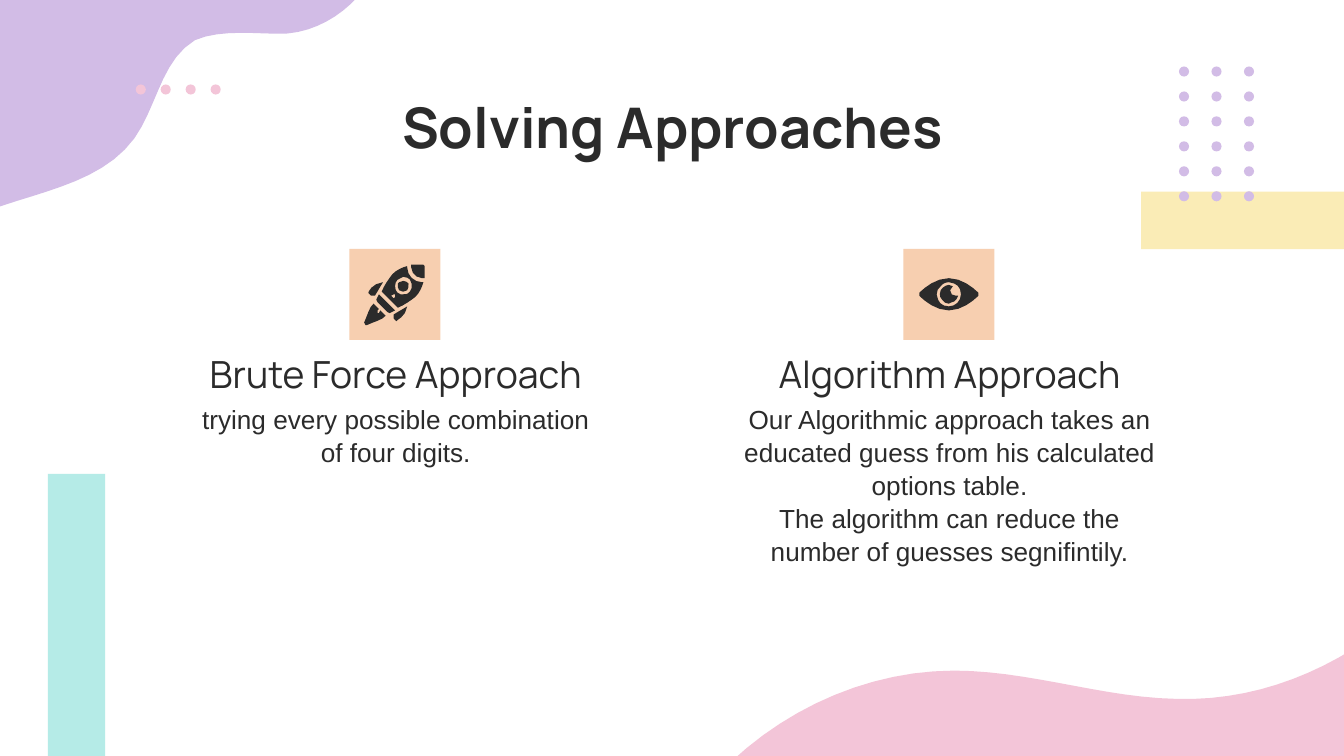
from dataclasses import dataclass
from math import dist, sqrt

from lxml.etree import SubElement
from pptx import Presentation
from pptx.dml.color import RGBColor
from pptx.enum.shapes import MSO_SHAPE as Preset
from pptx.enum.text import MSO_ANCHOR as Anchor, MSO_AUTO_SIZE as AutoSize, PP_ALIGN as Align
from pptx.oxml.ns import qn
from pptx.util import Pt

COLORS = {
    "ink": "2B2B2B",
    "pink": "F3C5D8",
    "mint": "B5EBE7",
    "lilac": "D2BCE6",
    "peach": "F7CFB0",
    "cream": "FAECB6",
}
GRID = 0.72  # points per unit of the outlines below

LILAC_BLOB = (
    "M -105 208, L -105 -75, L 266 -75, L 266 -2, C 253 12 235 23 214 25, "
    "C 195 26 165 21 145 30, C 120 45 117 79 100 103, C 78 133 38 141 2 153, "
    "C -36 165 -73 184 -105 208"
)
PINK_WAVE = (
    "M 1026 470, L 1026 705, L 523 705, L 523 589, C 569 534 639 499 710 499, "
    "C 766 499 820 519 875 520, C 932 522 984 501 1026 470"
)
ROCKET = [
    # side fins
    "M 282 219, L 280 223, L 281 225, L 288 232, L 290 233, L 294 231",
    "M 303 228, C 300 230 296 232 293 234, L 293 237, L 295 239, C 295 238 302 236 303 228",
    "M 285 210, C 277 211 274 217 274 218, L 276 220, L 279 220, C 281 217 283 213 285 210",
    # nose
    "M 313 197, L 306 197, L 306 199, C 306 203 310 207 314 207, L 316 207, L 316 198, L 315 197",
    # window
    "M 300 209, L 297 210, L 296 211, C 296 213 296 215 297 216, L 300 217, L 303 216, "
    "C 304 215 304 213 304 211, C 303 210 302 209 300 209",
    # body with window frame and rivet cut out
    "M 300 206, C 302 206 304 207 305 208, C 307 211 307 215 305 217, "
    "C 304 219 302 219 300 219, L 298 219, C 295 218 294 216 294 213, "
    "C 294 210 295 208 298 207, L 300 206, "
    "M 293 219, L 294 219, L 294 221, L 293 222, L 291 220, L 293 219, "
    "M 303 198, C 299 199 295 201 292 204, C 289 208 286 212 284 217, L 296 229, "
    "C 301 227 305 224 309 221, C 312 218 314 214 315 210, L 314 210, "
    "C 308 210 303 205 303 199",
    # flame
    "M 278 226, C 275 228 273 236 271 240, L 272 242, L 273 242, C 277 240 285 238 287 235, "
    "L 286 234, L 283 231, L 282 233, L 281 233, L 281 231, L 282 230, L 279 227",
]
EYE = [
    # lids with iris cut out
    "M 706 210, L 710 211, C 713 212 715 215 715 219, "
    "C 715 224 711 228 706 228, C 702 228 699 226 698 223, C 696 219 697 215 700 213, "
    "C 701 211 704 210 706 210, "
    "M 706 207, C 694 207 684 218 684 218, L 684 220, C 684 220 694 231 706 231, "
    "C 718 231 728 220 728 220, L 728 218, C 728 218 718 207 706 207",
    # pupil
    "M 706 212, C 704 212 701 214 700 216, C 699 219 699 221 701 223, "
    "C 702 225 704 226 706 226, L 708 225, C 710 225 712 223 713 220, "
    "L 711 220, C 709 220 707 219 707 216, L 709 213",
]


@dataclass
class Box:
    left: float
    top: float
    width: float
    height: float


@dataclass
class TextStyle:
    font: str
    size: float
    bold: bool = False
    anchor: Anchor = Anchor.TOP
    spacing: float = 1.0


@dataclass
class DotGrid:
    """Rows and columns of dots, placed by the centre of the first one."""
    x: float
    y: float
    columns: int
    rows: int
    step_x: float
    step_y: float
    color: str


@dataclass
class Approach:
    left: float
    icon_left: float
    icon: list[str]
    heading: str
    lines: list[str]
    heading_index: int
    body_index: int


TITLE = TextStyle("Manrope", 30, bold=True)
HEADING = TextStyle("Manrope", 20, anchor=Anchor.BOTTOM)
BODY = TextStyle("Arial", 14, spacing=1.05)

APPROACHES = [
    Approach(93.6, 187.2, ROCKET, "Brute Force Approach",
             ["trying every possible combination of four digits."], 1, 2),
    Approach(390.3, 484, EYE, "Algorithm Approach",
             ["Our Algorithmic approach takes an educated guess from his calculated options table.",
              "The algorithm can reduce the number of guesses segnifintily."], 3, 4),
]
DOT_GRIDS = [
    DotGrid(634.3, 38.3, 3, 6, 17.4, 13.37, "lilac"),
    DotGrid(75.4, 47.95, 4, 1, 13.37, 0, "pink"),
]


def paint(shape, color: str) -> None:
    shape.fill.solid()
    shape.fill.fore_color.rgb = RGBColor.from_string(COLORS[color])
    shape.line.fill.background()
    shape.shadow.inherit = False


def draw_preset(shapes, preset: Preset, box: Box, color: str) -> None:
    shape = shapes.add_shape(preset, Pt(box.left), Pt(box.top), Pt(box.width), Pt(box.height))
    paint(shape, color)


def trace(outline: str) -> list[list[tuple[float, float]]]:
    """Turn M, L and C (cubic curve) steps into one list of points per contour."""
    contours = []
    for step in outline.split(", "):
        command, *texts = step.split()
        numbers = [float(text) for text in texts]
        pairs = list(zip(numbers[::2], numbers[1::2]))
        if command == "M":
            contours.append(pairs)
        elif command == "L":
            contours[-1].extend(pairs)
        else:
            corners = [contours[-1][-1], *pairs]
            count = max(1, round(sqrt(dist(corners[0], corners[-1]))))
            for index in range(1, count + 1):
                t = index / count
                weights = ((1 - t) ** 3, 3 * t * (1 - t) ** 2, 3 * t * t * (1 - t), t ** 3)
                contours[-1].append(tuple(
                    sum(weight * corner[axis] for weight, corner in zip(weights, corners))
                    for axis in (0, 1)))
    return [[(Pt(x * GRID), Pt(y * GRID)) for x, y in contour] for contour in contours]


def draw_outline(shapes, outline: str, color: str) -> None:
    first, *others = trace(outline)
    builder = shapes.build_freeform(*first[0])
    builder.add_line_segments(first[1:])
    for contour in others:
        builder.move_to(*contour[0])
        builder.add_line_segments(contour[1:])
    paint(builder.convert_to_shape(), color)


def draw_dots(page, dots: DotGrid) -> None:
    group = page.shapes.add_group_shape()
    size = 5.4
    for column in range(dots.columns):
        for row in range(dots.rows):
            box = Box(dots.x + column * dots.step_x - size / 2,
                      dots.y + row * dots.step_y - size / 2, size, size)
            draw_preset(group.shapes, Preset.OVAL, box, dots.color)


def fill_placeholder(holder, box: Box, lines: list[str], style: TextStyle) -> None:
    holder.left, holder.top = Pt(box.left), Pt(box.top)
    holder.width, holder.height = Pt(box.width), Pt(box.height)
    frame = holder.text_frame
    frame.text = "\n".join(lines)
    frame.word_wrap = True
    frame.auto_size = AutoSize.NONE
    frame.vertical_anchor = style.anchor
    frame.margin_left = frame.margin_right = frame.margin_top = frame.margin_bottom = Pt(7.2)
    for para in frame.paragraphs:
        para.alignment = Align.CENTER
        para.line_spacing = style.spacing
        para.space_before = para.space_after = Pt(0)
        properties = para._p.get_or_add_pPr()
        properties.set("marL", "0")
        properties.set("indent", "0")
        SubElement(properties, qn("a:buNone"))
        for span in para.runs:
            span.font.name = style.font
            span.font.size = Pt(style.size)
            span.font.bold = style.bold
            span.font.color.rgb = RGBColor.from_string(COLORS["ink"])


def draw_approach(page, approach: Approach) -> None:
    draw_preset(page.shapes, Preset.RECTANGLE, Box(approach.icon_left, 133.3, 48.8, 48.8), "peach")
    icon = page.shapes.add_group_shape()
    for outline in approach.icon:
        draw_outline(icon.shapes, outline, "ink")
    holders = {holder.placeholder_format.idx: holder for holder in page.placeholders}
    fill_placeholder(holders[approach.heading_index], Box(approach.left, 190.8, 236.9, 28.8),
                     [approach.heading], HEADING)
    fill_placeholder(holders[approach.body_index], Box(approach.left, 208.1, 236.9, 135.4),
                     approach.lines, BODY)


def main() -> None:
    deck = Presentation()
    deck.slide_width, deck.slide_height = Pt(720), Pt(405)
    page = deck.slides.add_slide(deck.slide_layouts.get_by_name("Comparison"))
    draw_outline(page.shapes, PINK_WAVE, "pink")
    draw_preset(page.shapes, Preset.RECTANGLE, Box(25.6, 253.9, 30.8, 151.1), "mint")
    draw_outline(page.shapes, LILAC_BLOB, "lilac")
    draw_preset(page.shapes, Preset.RECTANGLE, Box(611.3, 102.7, 108.7, 30.8), "cream")
    fill_placeholder(page.shapes.title, Box(56.9, 42.5, 607, 45.4), ["Solving Approaches"], TITLE)
    for approach in APPROACHES:
        draw_approach(page, approach)
    for dots in DOT_GRIDS:
        draw_dots(page, dots)
    deck.save("out.pptx")


if __name__ == "__main__":
    main()
